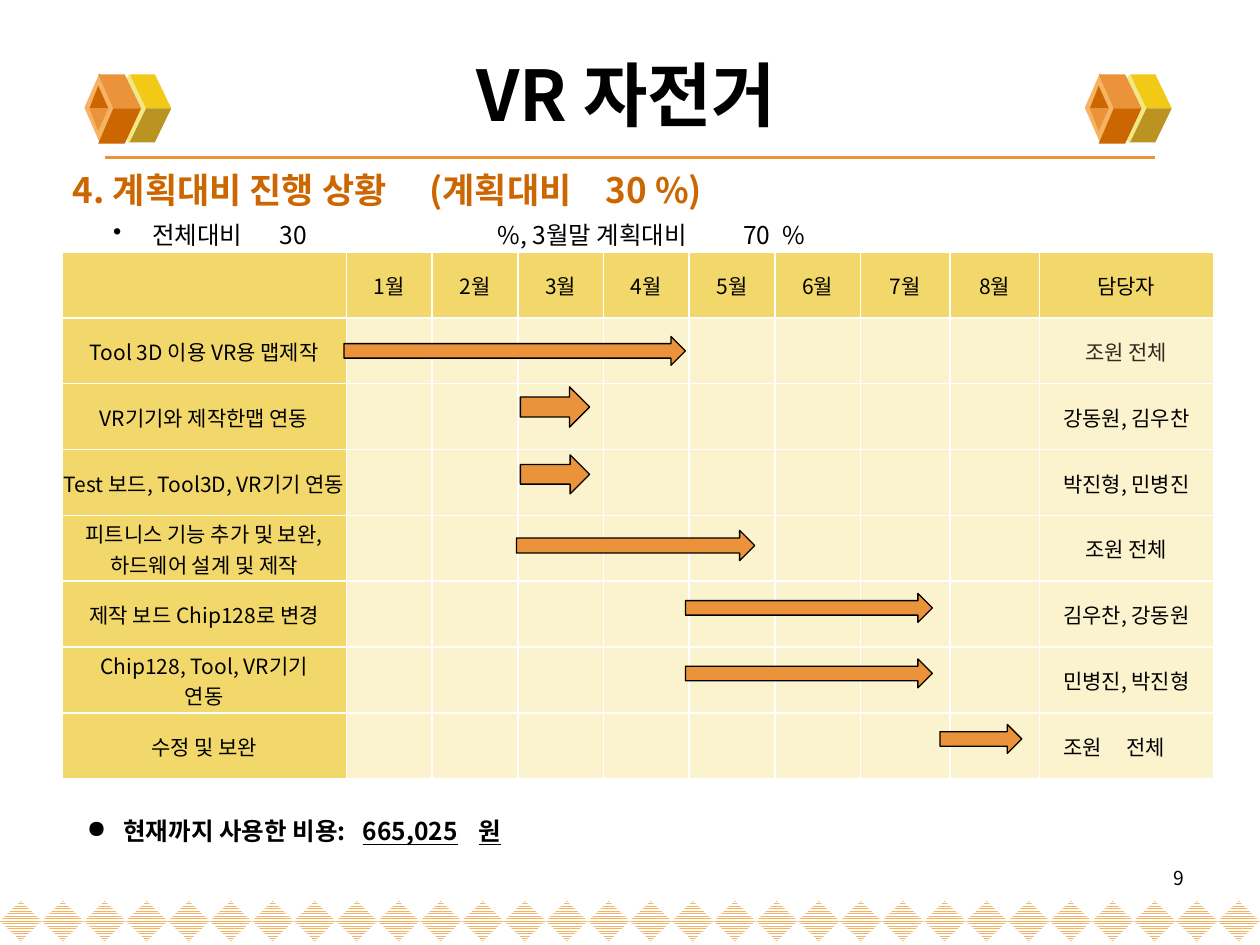
from lxml import etree
from pptx import Presentation
from pptx.dml.color import RGBColor
from pptx.enum.dml import MSO_PATTERN
from pptx.enum.shapes import MSO_CONNECTOR, MSO_SHAPE
from pptx.enum.text import MSO_ANCHOR, PP_ALIGN
from pptx.oxml import parse_xml
from pptx.oxml.ns import nsdecls, qn
from pptx.util import Inches, Pt

FONT = "Noto Sans CJK KR"
ORANGE, RUST, BLACK, WHITE = "EB933B", "CC6600", "000000", "FFFFFF"
GOLD, CREAM = "F2D86A", "FBF2CE"
LEFT, CENTER, RIGHT = PP_ALIGN.LEFT, PP_ALIGN.CENTER, PP_ALIGN.RIGHT
TOP, MIDDLE = MSO_ANCHOR.TOP, MSO_ANCHOR.MIDDLE
DIAMOND, ARROW = MSO_SHAPE.DIAMOND, MSO_SHAPE.RIGHT_ARROW
NARROW_LINES = MSO_PATTERN.NARROW_HORIZONTAL
STRAIGHT = MSO_CONNECTOR.STRAIGHT


def color(value):
    return RGBColor.from_string(value)


def write(para, text, size=12, fill=BLACK, bold=False, underline=False,
          align=LEFT, bullet=None, indent=0, tabs=()):
    para.alignment = align
    props = para._p.get_or_add_pPr()
    if bullet:
        props.set("marL", str(Inches(indent)))
        props.set("indent", str(-Inches(indent)))
        etree.SubElement(props, qn("a:buChar"), char=bullet)
    if tabs:
        stops = etree.SubElement(props, qn("a:tabLst"))
        for stop in tabs:
            etree.SubElement(stops, qn("a:tab"), pos=str(Inches(stop)), algn="l")
    span = para.add_run()
    span.text = text
    span.font.size = Pt(size)
    span.font.name = FONT
    span.font.bold = bold
    span.font.underline = underline
    span.font.color.rgb = color(fill)
    etree.SubElement(span._r.get_or_add_rPr(), qn("a:ea"), typeface=FONT)


deck = Presentation()
deck.slide_width, deck.slide_height = Inches(10), Inches(7.5)
page = deck.slides.add_slide(deck.slide_layouts[6])
shapes = page.shapes

for index in range(30):
    tile = shapes.add_shape(DIAMOND, Inches(index / 3), Inches(7.15), Inches(0.33), Inches(0.32))
    tile.shadow.inherit = False
    tile.fill.patterned()
    tile.fill.pattern = NARROW_LINES
    tile.fill.fore_color.rgb = color("F5B363")
    tile.fill.back_color.rgb = color(WHITE)
    tile.line.fill.background()

rule = shapes.add_connector(STRAIGHT, Inches(0.83), Inches(1.25), Inches(9.17), Inches(1.25))
rule.line.color.rgb = color(ORANGE)
rule.line.width = Pt(2.25)
etree.SubElement(rule._element.spPr, qn("a:effectLst"))

cube_diamonds = [(0.86, 0.59, 0.33, "F1E785"), (0.67, 0.58, 0.24, "F5B363")]
cube_faces = [
    [("F3C917", [(1.16, 0.86), (1.36, 0.86), (1.23, 0.59), (1.03, 0.59)]),
     ("BB9321", [(1.16, 0.86), (1.36, 0.86), (1.23, 1.13), (1.03, 1.13)])],
    [(ORANGE, [(0.9, 0.86), (1.12, 0.86), (0.99, 0.59), (0.78, 0.59)]),
     (RUST, [(0.9, 0.86), (1.12, 0.86), (0.99, 1.14), (0.78, 1.14)]),
     (RUST, [(0.78, 0.68), (0.71, 0.86), (0.86, 0.86)]),
     (ORANGE, [(0.78, 1.04), (0.71, 0.86), (0.86, 0.86)])],
]
for shift in (0, 7.94):
    for (left, top, width, tint), faces in zip(cube_diamonds, cube_faces):
        side = shapes.add_shape(DIAMOND, Inches(left + shift), Inches(top), Inches(width), Inches(0.55))
        pieces = [(side, tint)]
        for face_tint, points in faces:
            corners = [(Inches(x + shift), Inches(y)) for x, y in points]
            outline = shapes.build_freeform(*corners[0], scale=1.0)
            outline.add_line_segments(corners[1:], close=True)
            pieces.append((outline.convert_to_shape(), face_tint))
        for piece, piece_tint in pieces:
            piece.shadow.inherit = False
            piece.fill.solid()
            piece.fill.fore_color.rgb = color(piece_tint)
            piece.line.fill.background()

months = [f"{month}월" for month in range(1, 9)]
tasks = [
    ("Tool 3D 이용 VR용 맵제작", "조원 전체"),
    ("VR기기와 제작한맵 연동", "강동원, 김우찬"),
    ("Test 보드, Tool3D, VR기기 연동", "박진형, 민병진"),
    ("피트니스 기능 추가 및 보완,하드웨어 설계 및 제작", "조원 전체"),
    ("제작 보드 Chip128로 변경", "김우찬, 강동원"),
    ("Chip128, Tool, VR기기\n연동", "민병진, 박진형"),
    ("수정 및 보완", "조원\t전체"),
]
rows = [["", *months, "담당자"]] + [[task, *[""] * 8, owner] for task, owner in tasks]
widths = [2.26] + [0.68] * 6 + [0.71] * 2 + [1.38]
schedule = shapes.add_table(len(rows), len(widths), Inches(0.49), Inches(2), Inches(9.16), Inches(4.18)).table
schedule.first_row = schedule.horz_banding = False
for column, width in zip(schedule.columns, widths):
    column.width = Inches(width)
for r, row in enumerate(rows):
    schedule.rows[r].height = Inches(4.18 / len(rows))
    for c, text in enumerate(row):
        cell = schedule.cell(r, c)
        cell.margin_left = cell.margin_right = cell.margin_top = Inches(0.01)
        cell.margin_bottom = 0
        cell.vertical_anchor = MIDDLE
        cell.fill.solid()
        cell.fill.fore_color.rgb = color(GOLD if r == 0 or c == 0 else CREAM)
        for position, edge in enumerate(("lnL", "lnR", "lnT", "lnB")):
            border = parse_xml(f'<a:{edge} {nsdecls("a")} w="12700"><a:solidFill>'
                               f'<a:srgbClr val="{WHITE}"/></a:solidFill></a:{edge}>')
            cell._tc.get_or_add_tcPr().insert(position, border)
        if not text:
            continue
        spaced = "\t" in text
        if spaced:
            cell.margin_left = Inches(0.19)
        for number, line in enumerate(text.split("\n")):
            para = cell.text_frame.add_paragraph() if number else cell.text_frame.paragraphs[0]
            write(para, line, align=LEFT if spaced else CENTER, tabs=[0.5] if spaced else (),
                  fill="2F2B20" if (r, c) == (1, 9) else BLACK)

bars = [
    (2.73, 2.67, 2.71, 0.23), (4.13, 3.07, 0.55, 0.32), (4.13, 3.61, 0.55, 0.31),
    (4.1, 4.21, 1.89, 0.24), (5.44, 4.71, 1.96, 0.23), (5.44, 5.23, 1.96, 0.23),
    (7.46, 5.75, 0.65, 0.23),
]
for bar in bars:
    arrow = shapes.add_shape(ARROW, *map(Inches, bar))
    arrow.shadow.inherit = False
    arrow.fill.solid()
    arrow.fill.fore_color.rgb = color(ORANGE)
    arrow.line.color.rgb = color(BLACK)
    arrow.line.width = Pt(0.75)

labels = [
    ((0.48, 0.31, 8.98, 0.86), MIDDLE, "VR 자전거", dict(size=40, bold=True, align=CENTER)),
    ((0.48, 0.84, 8.8, 1.32), MIDDLE, "4. 계획대비 진행 상황\t(계획대비\t30 %)",
     dict(size=20, bold=True, fill=RUST, tabs=[2.83, 4.23])),
    ((0.8, 1.7, 5.82, 0.34), TOP, "전체대비\t30\t%, 3월말 계획대비\t70\t%",
     dict(size=14, bullet="•", indent=0.31, tabs=[0.97, 1.32, 3.05, 3.39])),
    ((0.59, 6.43, 5.28, 0.34), TOP, "현재까지 사용한 비용:",
     dict(size=14, bold=True, bullet="●", indent=0.29, tabs=[2.19, 3.11])),
    ((7.17, 6.83, 2.33, 0.3), TOP, "9", dict(size=11, align=RIGHT)),
]
for place, anchor, text, style in labels:
    box = shapes.add_textbox(*map(Inches, place))
    box.text_frame.word_wrap = True
    box.text_frame.vertical_anchor = anchor
    para = box.text_frame.paragraphs[0]
    write(para, text, **style)
    if text.endswith(":"):
        write(para, "\t665,025\t원", size=14, bold=True, underline=True)

deck.save("out.pptx")
